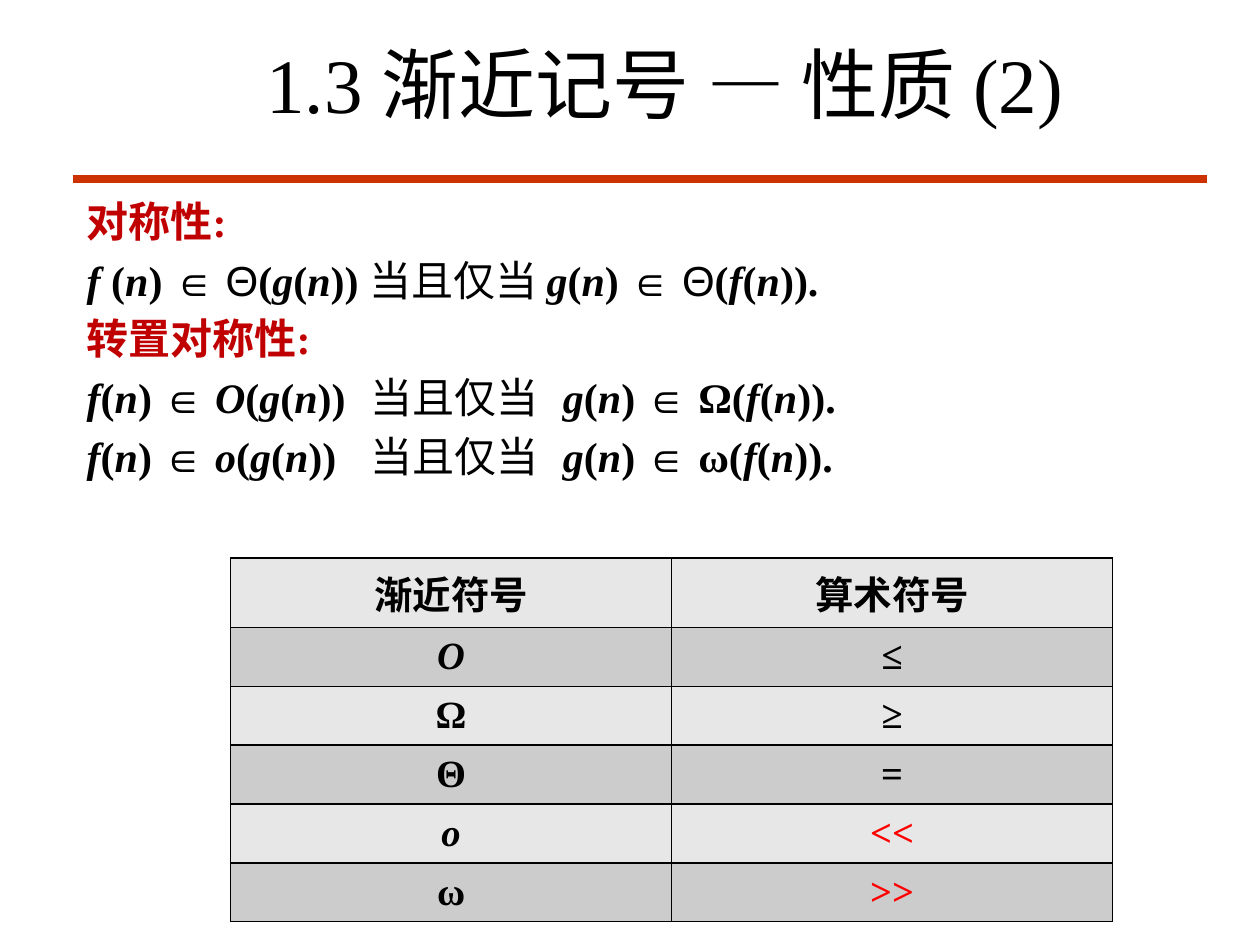
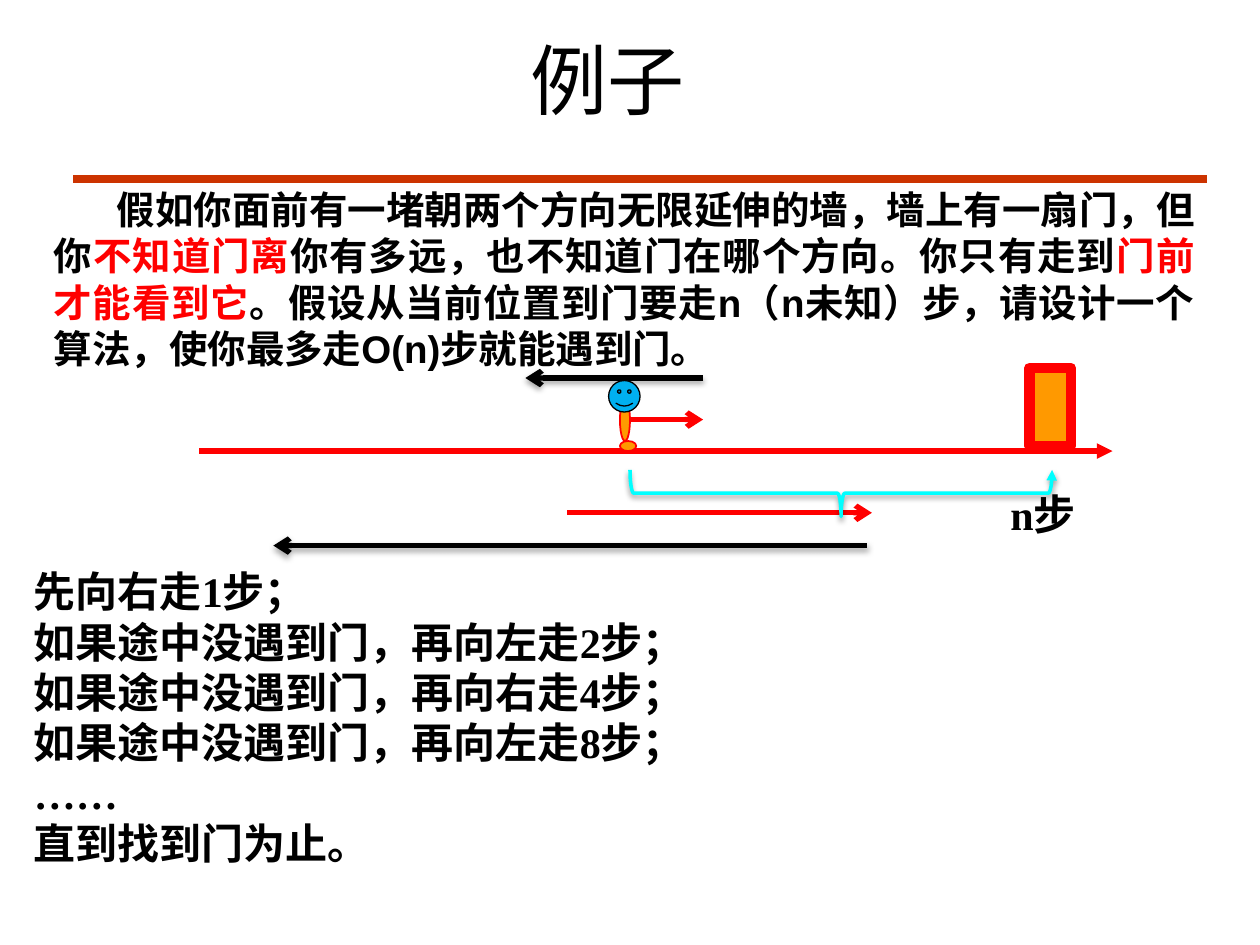
from itertools import groupby
from lxml.etree import SubElement
from pptx import Presentation
from pptx.dml.color import RGBColor
from pptx.enum.shapes import MSO_CONNECTOR, MSO_SHAPE
from pptx.enum.text import MSO_ANCHOR, PP_ALIGN
from pptx.oxml import parse_xml
from pptx.oxml.ns import nsdecls, qn
from pptx.util import Inches, Pt

rgb = RGBColor.from_string
SERIF, SANS = "Times New Roman", "Arial"
BLACK, RED, DARK_RED, RULE = "000000", "FF0000", "C00000", "CC3300"
ORANGE, CYAN, BLUE = "FF9900", "00FFFF", "00B0F0"
LIGHT, GREY = "E7E7E7", "CCCCCC"


def write(p, text, size=24, color=BLACK, font=SERIF, bold=True, italic=False):
    r = p.add_run()
    r.text = text
    r.font.size, r.font.name = Pt(size), font
    r.font.bold, r.font.italic = bold, italic
    r.font.color.rgb = rgb(color)


def outline(shape, color, width, end=None, shadow=None):
    """Set the line, an optional arrowhead and an optional shadow opacity (%)."""
    shape.line.color.rgb = rgb(color)
    shape.line.width = Pt(width)
    sp_pr = shape._element.spPr
    if end:
        SubElement(sp_pr.find(qn("a:ln")), qn("a:tailEnd"), type=end)
    drop = (f'<a:outerShdw blurRad="40000" dist="20000" dir="5400000" rotWithShape="0">'
            f'<a:srgbClr val="{BLACK}"><a:alpha val="{shadow * 1000}"/></a:srgbClr>'
            f'</a:outerShdw>') if shadow else ""
    sp_pr.append(parse_xml(f'<a:effectLst {nsdecls("a")}>{drop}</a:effectLst>'))


prs = Presentation()
prs.slide_width, prs.slide_height = Inches(10), Inches(7.5)

# Titles and the rule below them
slides = []
for title, box in [("1.3 渐近记号 — 性质 (2)", (0.55, 0.17, 9.45, 0.98)),
                   ("例子", (0.67, 0.25, 8.3, 0.75))]:
    s = prs.slides.add_slide(prs.slide_layouts[5])
    rule = s.shapes.add_connector(MSO_CONNECTOR.STRAIGHT, Inches(0.58), Inches(1.42),
                                  Inches(9.58), Inches(1.42))
    outline(rule, RULE, 4.5)
    sp = s.shapes.title
    sp.left, sp.top, sp.width, sp.height = map(Inches, box)
    tf = sp.text_frame
    tf.vertical_anchor = MSO_ANCHOR.MIDDLE
    tf.paragraphs[0].alignment = PP_ALIGN.CENTER
    write(tf.paragraphs[0], title, size=44, bold=False)
    slides.append(s)

# Slide 1: symmetry properties
s = slides[0]
tf = s.shapes.add_textbox(*map(Inches, (0.59, 1.5, 9.17, 2.75))).text_frame
tf.word_wrap = True
properties = ["对称性:",
              "f (n) ∈ Θ(g(n)) 当且仅当 g(n) ∈ Θ(f(n)).",
              "转置对称性:",
              "f(n) ∈ O(g(n))\t当且仅当\tg(n) ∈ Ω(f(n)).",
              "f(n) ∈ o(g(n))\t当且仅当\tg(n) ∈ ω(f(n))."]
kinds = {**dict.fromkeys("fgnOo", "variable"), **dict.fromkeys("∈Θ", "symbol"),
         **dict.fromkeys("当且仅", "word")}
formats = {"variable": dict(italic=True), "symbol": dict(font=SANS, bold=False),
           "word": dict(bold=False), "plain": {}}
for i, line in enumerate(properties):
    p = tf.paragraphs[0] if i == 0 else tf.add_paragraph()
    if i:
        p.space_before = Pt(4.8)
    if line.endswith(":"):
        write(p, line, color=DARK_RED)
        continue
    if "\t" in line:
        tabs = SubElement(p._p.get_or_add_pPr(), qn("a:tabLst"))
        for stop in (2.25, 3.78):
            SubElement(tabs, qn("a:tab"), pos=str(Inches(stop)), algn="l")
    for kind, chars in groupby(line, lambda ch: kinds.get(ch, "plain")):
        write(p, "".join(chars), **formats[kind])

# Slide 1: table of symbols
rows = [("渐近符号", "算术符号"), ("O", "≤"), ("Ω", "≥"), ("Θ", "="), ("o", "<<"), ("ω", ">>")]
table = s.shapes.add_table(len(rows), 2, *map(Inches, (1.83, 4.43, 7, 2.75))).table
for i, row in enumerate(rows):
    table.rows[i].height = Inches(0.44 if i else 0.55)
    for j, text in enumerate(row):
        cell = table.cell(i, j)
        cell.vertical_anchor = MSO_ANCHOR.MIDDLE
        for side in ("lnL", "lnR", "lnT", "lnB"):
            cell._tc.get_or_add_tcPr().append(parse_xml(
                f'<a:{side} {nsdecls("a")} w="12700"><a:solidFill>'
                f'<a:srgbClr val="{BLACK}"/></a:solidFill></a:{side}>'))
        cell.fill.solid()
        cell.fill.fore_color.rgb = rgb(GREY if i % 2 else LIGHT)
        p = cell.text_frame.paragraphs[0]
        p.alignment = PP_ALIGN.CENTER
        write(p, text, size=22, color=RED if text in ("<<", ">>") else BLACK,
              italic=text in ("O", "o"))

# Slide 2: the problem
s = slides[1]
tf = s.shapes.add_textbox(*map(Inches, (0.33, 1.43, 9.25, 5.8))).text_frame
tf.word_wrap = True
p = tf.paragraphs[0]
p.alignment = PP_ALIGN.JUSTIFY
p._p.get_or_add_pPr().set("indent", str(Inches(0.5)))
for text, color in [
        ("假如你面前有一堵朝两个方向无限延伸的墙，墙上有一扇门，但你", BLACK),
        ("不知道门离", RED),
        ("你有多远，也不知道门在哪个方向。你只有走到", BLACK),
        ("门前才能看到它", RED),
        ("。假设从当前位置到门要走n（n未知）步，请设计一个算法，"
         "使你最多走O(n)步就能遇到门。", BLACK)]:
    write(p, text, size=22, color=color, font=SANS)

# Slide 2: the wall and the walks along it
for x1, x2, y, color, end, shadow in [
        (1.58, 8.83, 3.58, RED, "triangle", None),
        (4.98, 5.58, 3.33, RED, "arrow", None),
        (5.58, 4.17, 3, BLACK, "arrow", 35),
        (4.5, 6.92, 4.07, RED, "arrow", None),
        (6.88, 2.17, 4.33, BLACK, "arrow", 35)]:
    walk = s.shapes.add_connector(MSO_CONNECTOR.STRAIGHT, Inches(x1), Inches(y),
                                  Inches(x2), Inches(y))
    outline(walk, color, 3, end, shadow)

# Slide 2: foot, door, body and head
for kind, box, fill, color, width in [
        (MSO_SHAPE.OVAL, (4.92, 3.5, 0.13, 0.08), ORANGE, RED, 1),
        (MSO_SHAPE.RECTANGLE, (8.17, 2.92, 0.33, 0.62), ORANGE, RED, 6),
        (MSO_SHAPE.OVAL, (4.92, 3.17, 0.08, 0.33), ORANGE, RED, 1),
        (MSO_SHAPE.SMILEY_FACE, (4.83, 3.02, 0.25, 0.25), BLUE, BLACK, 0.75)]:
    sp = s.shapes.add_shape(kind, *map(Inches, box))
    sp.fill.solid()
    sp.fill.fore_color.rgb = rgb(fill)
    outline(sp, color, width)

# Slide 2: distance brace
brace = s.shapes.add_shape(MSO_SHAPE.LEFT_BRACE, *map(Inches, (6.49, 2.24, 0.37, 3.35)))
brace.rotation = 270
brace._element.spPr.find(qn("a:xfrm")).set("flipV", "1")
brace.adjustments[0], brace.adjustments[1] = 0.08, 0.5
brace.fill.background()
outline(brace, CYAN, 2, "triangle", 38)

# Slide 2: distance label and the steps
steps = ["先向右走1步；"]
steps += [f"如果途中没遇到门，再向{way}走{n}步；" for way, n in (("左", 2), ("右", 4), ("左", 8))]
steps += ["……", "直到找到门为止。"]
for box, lines in [((7.92, 3.83, 1.08, 0.5), ["n步"]), ((0.17, 4.44, 6.92, 2.93), steps)]:
    tf = s.shapes.add_textbox(*map(Inches, box)).text_frame
    tf.word_wrap = True
    for i, line in enumerate(lines):
        write(tf.add_paragraph() if i else tf.paragraphs[0], line)

prs.save("out.pptx")
